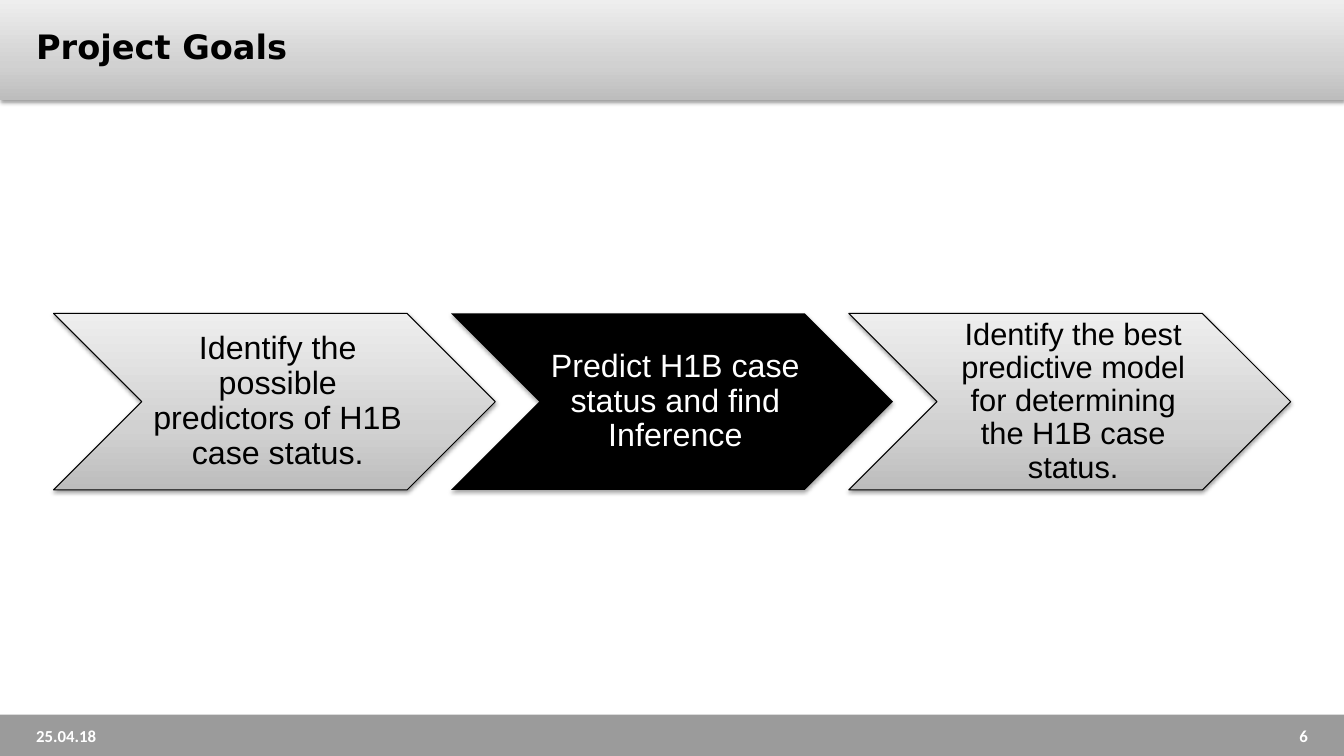
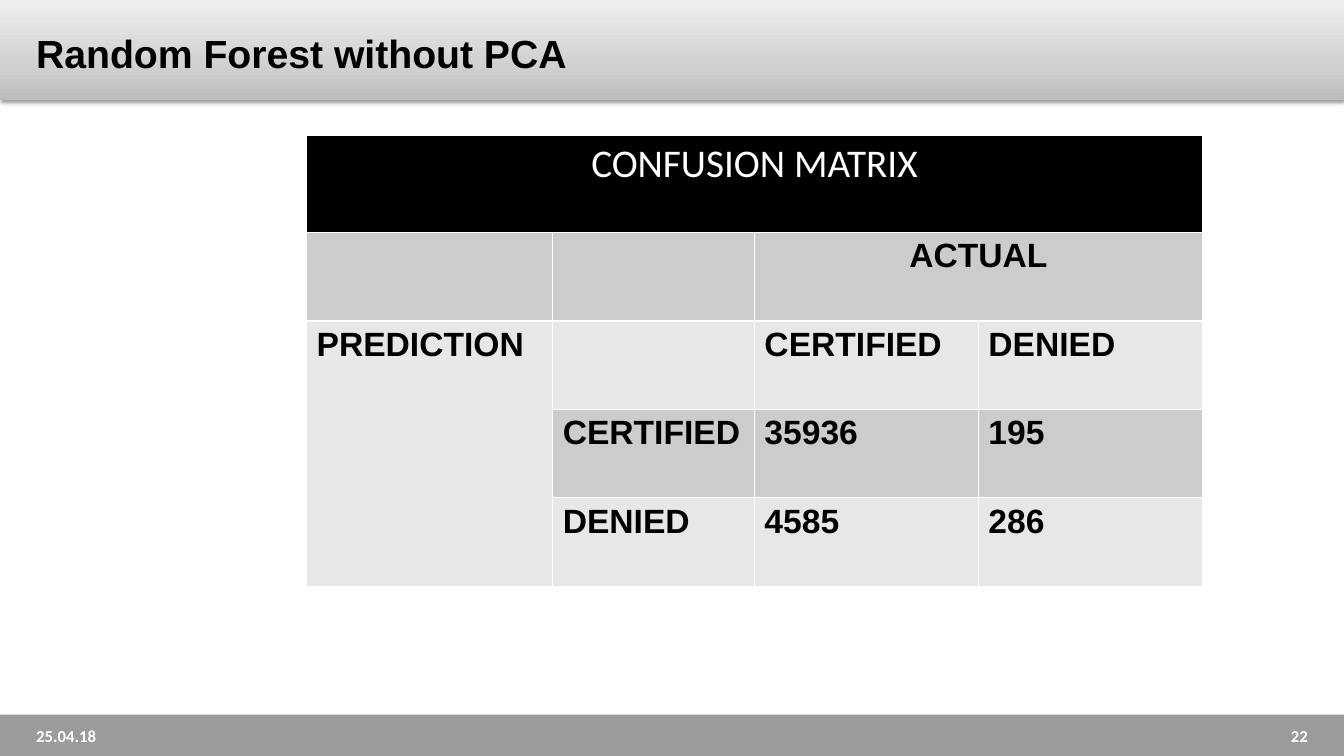
from dataclasses import dataclass

from lxml import etree
from copy import deepcopy
from pptx import Presentation
from pptx import util as u
from pptx.dml import color
from pptx.enum import shapes, text
from pptx.oxml import ns

LEFT, MID, RIGHT = text.PP_ALIGN.LEFT, text.PP_ALIGN.CENTER, text.PP_ALIGN.RIGHT
TOP, HALF = text.MSO_ANCHOR.TOP, text.MSO_ANCHOR.MIDDLE
KIND = shapes.MSO_SHAPE


@dataclass(frozen=True)
class Font:
    name: str
    size: int
    tone: str
    bold: bool = False


class Theme:
    black, white, gray = "000000", "FFFFFF", "9B9B9B"
    dark, pale = "CCCCCC", "E7E7E7"
    fade = ((0, "BDBDBD"), (0.35, "D1D1D1"), (1, "EEEEEE"))
    goal = Font("DejaVu Sans", 24, black, True)
    head = Font("Arial", 28, black, True)
    foot = Font("Calibri", 12, white, True)
    cap = Font("Calibri", 28, white)
    cell = Font("Arial", 24, black, True)


@dataclass(frozen=True)
class Box:
    x: float
    y: float
    w: float
    h: float

    def inner(self, x, y, w, h):
        return Box(self.x + self.w * x / 100, self.y + self.h * y / 100,
                   self.w * w / 100, self.h * h / 100)

    def place(self):
        return [u.Inches(v) for v in (self.x, self.y, self.w, self.h)]


PAGE = Box(0, 0, 13.33, 7.5)
MARGIN = 1.95


def rgb(tone):
    return color.RGBColor.from_string(tone)


def write(frame, words, font, align=LEFT):
    frame.text = words
    for para in frame.paragraphs:
        para.alignment = align
        for run in para.runs:
            run.font.name = font.name
            run.font.size = u.Pt(font.size)
            run.font.bold = font.bold
            run.font.color.rgb = rgb(font.tone)


def label(slide, box, words, font, align=LEFT, anchor=HALF):
    frame = slide.shapes.add_textbox(*box.place()).text_frame
    frame.word_wrap = True
    frame.vertical_anchor = anchor
    write(frame, words, font, align)


def solid(item, tone):
    item.fill.solid()
    item.fill.fore_color.rgb = rgb(tone)


def block(slide, kind, box, tone=None):
    shape = slide.shapes.add_shape(kind, *box.place())
    shape.shadow.inherit = False
    shape.line.fill.background()
    if tone:
        solid(shape, tone)
    else:
        blend(shape)
    return shape


def blend(shape):
    shape.fill.gradient()
    shape.fill.gradient_angle = 90
    stops = shape._element.spPr.find(".//" + ns.qn("a:gsLst"))
    stops.append(deepcopy(stops[0]))
    for stop, (spot, tone) in zip(shape.fill.gradient_stops, Theme.fade):
        stop.position = spot
        stop.color.rgb = rgb(tone)


def shade(shape, alpha=38, drop=1.6):
    effect = shape._element.spPr.find(ns.qn("a:effectLst"))
    outer = etree.SubElement(effect, ns.qn("a:outerShdw"), {
        "blurRad": str(u.Pt(3.1)), "dist": str(u.Pt(drop)),
        "dir": "5400000", "rotWithShape": "0"})
    tone = etree.SubElement(outer, ns.qn("a:srgbClr"), val=Theme.black)
    etree.SubElement(tone, ns.qn("a:alpha"), val=str(alpha * 1000))


def header(slide, box):
    shade(block(slide, KIND.RECTANGLE, box))


def footer(slide, box, number):
    block(slide, KIND.RECTANGLE, box, Theme.gray)
    width = 23.33
    spots = ((MARGIN, "25.04.18", LEFT),
             (100 - MARGIN - width, number, RIGHT))
    for left, words, align in spots:
        label(slide, box.inner(left, 22, width, 58), words, Theme.foot, align)


def base(deck, number):
    slide = deck.slides.add_slide(deck.slide_layouts[6])
    header(slide, PAGE.inner(0, 0, 100, 13.2))
    footer(slide, PAGE.inner(0, 94.53, 100, 5.47), number)
    return slide


def chain(slide, box, steps):
    pace = 0.9
    width = 100 / (1 + pace * (len(steps) - 1))
    for index, (words, size, bright) in enumerate(steps):
        spot = box.inner(index * pace * width, 0, width, 100)
        arrow = block(slide, KIND.CHEVRON, spot, None if bright else Theme.black)
        if bright:
            arrow.line.color.rgb = rgb(Theme.black)
            arrow.line.width = u.Pt(0.75)
            shade(arrow)
        else:
            shade(arrow, 35, 1.8)
        frame = arrow.text_frame
        frame.word_wrap = True
        frame.vertical_anchor = HALF
        frame.margin_left = u.Inches(0.1)
        frame.margin_right = frame.margin_top = frame.margin_bottom = u.Inches(0.03)
        tone = Theme.black if bright else Theme.white
        write(frame, words, Font("Arial", size, tone), MID)
        frame.paragraphs[0].line_spacing = 0.9


def edge(cell):
    props = cell._tc.get_or_add_tcPr()
    for index, side in enumerate("LRTB"):
        line = etree.Element(ns.qn("a:ln" + side), w=str(u.Pt(1)))
        fill = etree.SubElement(line, ns.qn("a:solidFill"))
        etree.SubElement(fill, ns.qn("a:srgbClr"), val=Theme.white)
        props.insert(index, line)


def matrix(slide, box, rows, wide, tall, spans):
    table = slide.shapes.add_table(len(rows), len(wide), *box.place()).table
    for col, share in zip(table.columns, wide):
        col.width = u.Inches(box.w * share / sum(wide))
    for row, share in zip(table.rows, tall):
        row.height = u.Inches(box.h * share / sum(tall))
    for r, row in enumerate(rows):
        tone = (Theme.dark if r % 2 else Theme.pale) if r else Theme.black
        for c, words in enumerate(row):
            cell = table.cell(r, c)
            solid(cell, tone)
            edge(cell)
            if words:
                font = Theme.cell if r else Theme.cap
                write(cell.text_frame, words, font, LEFT if r > 1 else MID)
    for first, last in spans:
        table.cell(*first).merge(table.cell(*last))


def goals(deck):
    slide = base(deck, "6")
    label(slide, PAGE.inner(MARGIN, 0.8, 65.8, 10.53), "Project Goals", Theme.goal)
    chain(slide, PAGE.inner(3.98, 41.47, 92.05, 23.33), (
        ("Identify the possible predictors of H1B case status.", 23, True),
        ("Predict H1B case status and find Inference", 23, False),
        ("Identify the best predictive model for determining the H1B case status.",
         22, True)))


def forest(deck):
    slide = base(deck, "22")
    matrix(slide, PAGE.inner(22.81, 17.87, 66.65, 59.7), (
        ("CONFUSION MATRIX", "", "", ""),
        ("", "", "ACTUAL", ""),
        ("PREDICTION", "", "CERTIFIED", "DENIED"),
        ("", "CERTIFIED", "35936", "195"),
        ("", "DENIED", "4585", "286")),
        (2.44, 2, 2.22, 2.22), (0.97, 0.88, 0.88, 0.88, 0.88),
        (((0, 0), (0, 3)), ((1, 2), (1, 3)), ((2, 0), (4, 0))))
    label(slide, PAGE.inner(MARGIN, 3.2, 77.04, 11.73),
          "Random Forest without PCA", Theme.head, anchor=TOP)


def main():
    deck = Presentation()
    deck.slide_width = u.Inches(PAGE.w)
    deck.slide_height = u.Inches(PAGE.h)
    goals(deck)
    forest(deck)
    deck.save("out.pptx")


if __name__ == "__main__":
    main()
